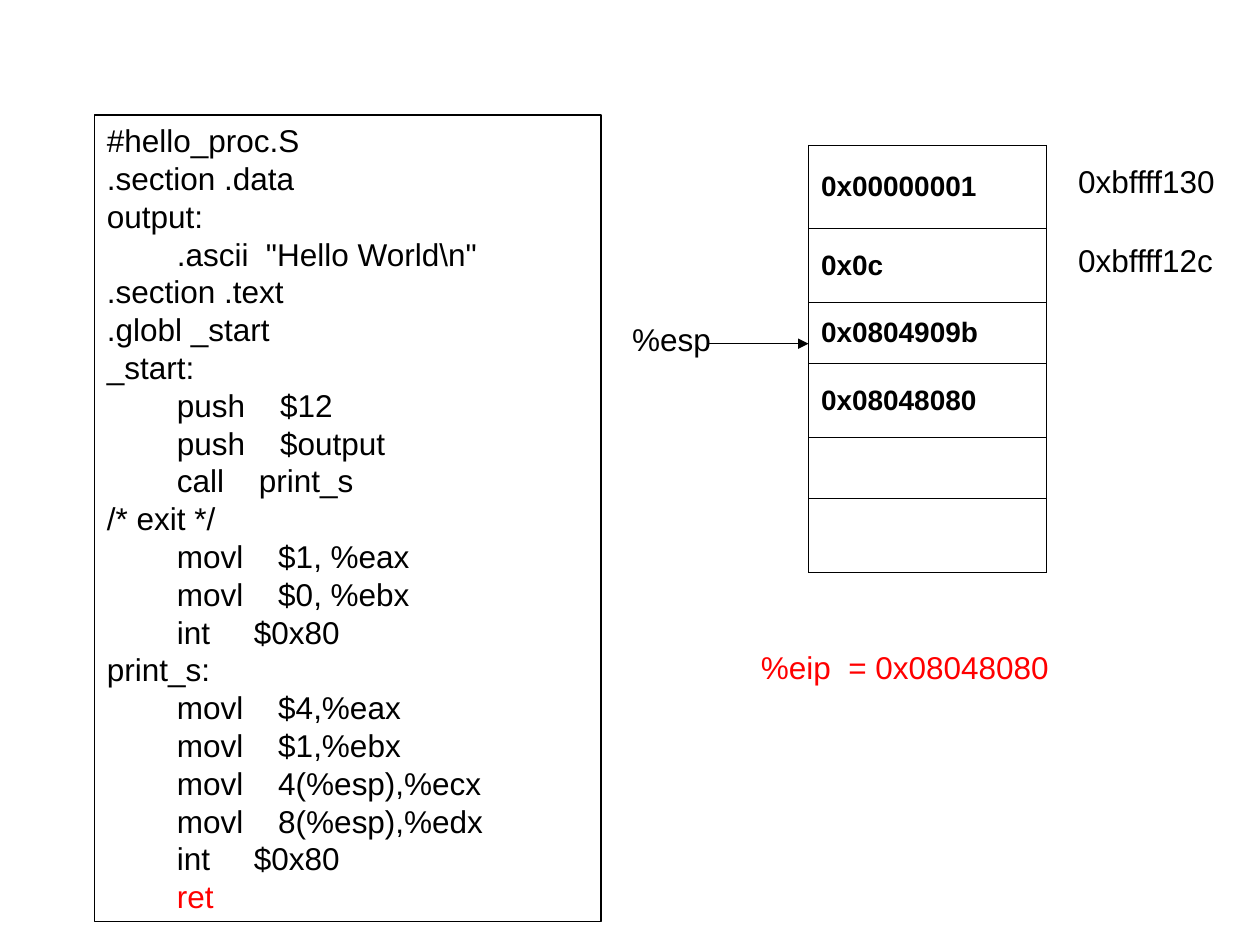
from lxml import etree
from pptx import Presentation
from pptx.dml.color import RGBColor
from pptx.enum.shapes import MSO_CONNECTOR, MSO_SHAPE
from pptx.enum.text import MSO_ANCHOR, PP_ALIGN
from pptx.oxml.ns import qn
from pptx.util import Pt

STRAIGHT = MSO_CONNECTOR.STRAIGHT
RECT = MSO_SHAPE.RECTANGLE
TOP, MIDDLE = MSO_ANCHOR.TOP, MSO_ANCHOR.MIDDLE
LEFT = PP_ALIGN.LEFT
BLACK, RED = "000000", "FF0000"

CODE = r'''#hello_proc.S
.section .data
output:
        .ascii  "Hello World\n"
.section .text
.globl _start
_start:
        push    $12
        push    $output
        call    print_s
/* exit */
        movl    $1, %eax
        movl    $0, %ebx
        int     $0x80
print_s:
        movl    $4,%eax
        movl    $1,%ebx
        movl    4(%esp),%ecx
        movl    8(%esp),%edx
        int     $0x80
        ret'''

STACK = [("0x00000001", 47.5), ("0x0c", 42.5), ("0x0804909b", 34.6),
         ("0x08048080", 42.5), ("", 34.6), ("", 42.5)]


def rgb(value):
    return RGBColor.from_string(value)


class Board:
    font = "Arial"
    size = 18
    line_width = 0.75
    border, bottom_border = 0.45, 1.08

    def __init__(self, slide):
        self.s = slide

    def style(self, p, color=BLACK, size=size, bold=False):
        p.alignment = LEFT
        for r in p.runs:
            r.font.name = self.font
            r.font.size = Pt(size)
            r.font.bold = bold
            r.font.color.rgb = rgb(color)

    def code(self, x, y, w, h, text, pitch, marked):
        sp = self.s.shapes.add_shape(RECT, Pt(x), Pt(y), Pt(w), Pt(h))
        sp.shadow.inherit = False
        sp.fill.background()
        sp.line.color.rgb = rgb(BLACK)
        sp.line.width = Pt(self.line_width)
        tf = sp.text_frame
        tf.word_wrap = True
        tf.vertical_anchor = TOP
        tf.text = text
        for p in tf.paragraphs:
            p.line_spacing = Pt(pitch)
            self.style(p, RED if p.text.strip() == marked else BLACK)

    def label(self, x, y, w, text, color=BLACK):
        tf = self.s.shapes.add_textbox(Pt(x), Pt(y), Pt(w), Pt(29)).text_frame
        tf.word_wrap = True
        tf.text = text
        self.style(tf.paragraphs[0], color)

    def arrow(self, x1, x2, y):
        line = self.s.shapes.add_connector(STRAIGHT, Pt(x1), Pt(y), Pt(x2), Pt(y))
        line.line.color.rgb = rgb(BLACK)
        line.line.width = Pt(self.line_width)
        etree.SubElement(line.line._get_or_add_ln(), qn("a:tailEnd"), type="triangle")
        etree.SubElement(line._element.spPr, qn("a:effectLst"))

    def borders(self, cell, bottom):
        tcPr = cell._tc.get_or_add_tcPr()
        widths = [self.border] * 3 + [bottom]
        for i, (side, width) in enumerate(zip("LRTB", widths)):
            ln = etree.Element(qn(f"a:ln{side}"), w=str(Pt(width)))
            fill = etree.SubElement(ln, qn("a:solidFill"))
            etree.SubElement(fill, qn("a:srgbClr"), val=BLACK)
            tcPr.insert(i, ln)

    def stack(self, x, y, w, rows):
        height = sum(h for _, h in rows)
        table = self.s.shapes.add_table(len(rows), 1, Pt(x), Pt(y), Pt(w), Pt(height)).table
        table.first_row = table.horz_banding = False
        for i, (text, h) in enumerate(rows):
            table.rows[i].height = Pt(h)
            cell = table.cell(i, 0)
            cell.fill.background()
            cell.vertical_anchor = MIDDLE
            cell.text = text
            self.style(cell.text_frame.paragraphs[0], size=16, bold=True)
            last = i == len(rows) - 1
            self.borders(cell, self.bottom_border if last else self.border)


def main():
    prs = Presentation()
    prs.slide_width, prs.slide_height = Pt(720), Pt(540)
    board = Board(prs.slides.add_slide(prs.slide_layouts[6]))

    # Assembly listing
    board.code(54, 65.8, 289.4, 460.8, CODE, 21.6, "ret")

    # Stack with its addresses
    board.stack(462, 83, 136, STACK)
    for y, address in ((88.9, "0xbffff130"), (134.2, "0xbffff12c")):
        board.label(609, y, 96.5, address)

    # Registers
    board.arrow(405.4, 462, 196.4)
    board.label(354.2, 179.5, 62.6, "%esp")
    board.label(427.7, 366.8, 198.7, "%eip  = 0x08048080", RED)

    prs.save("out.pptx")


if __name__ == "__main__":
    main()
